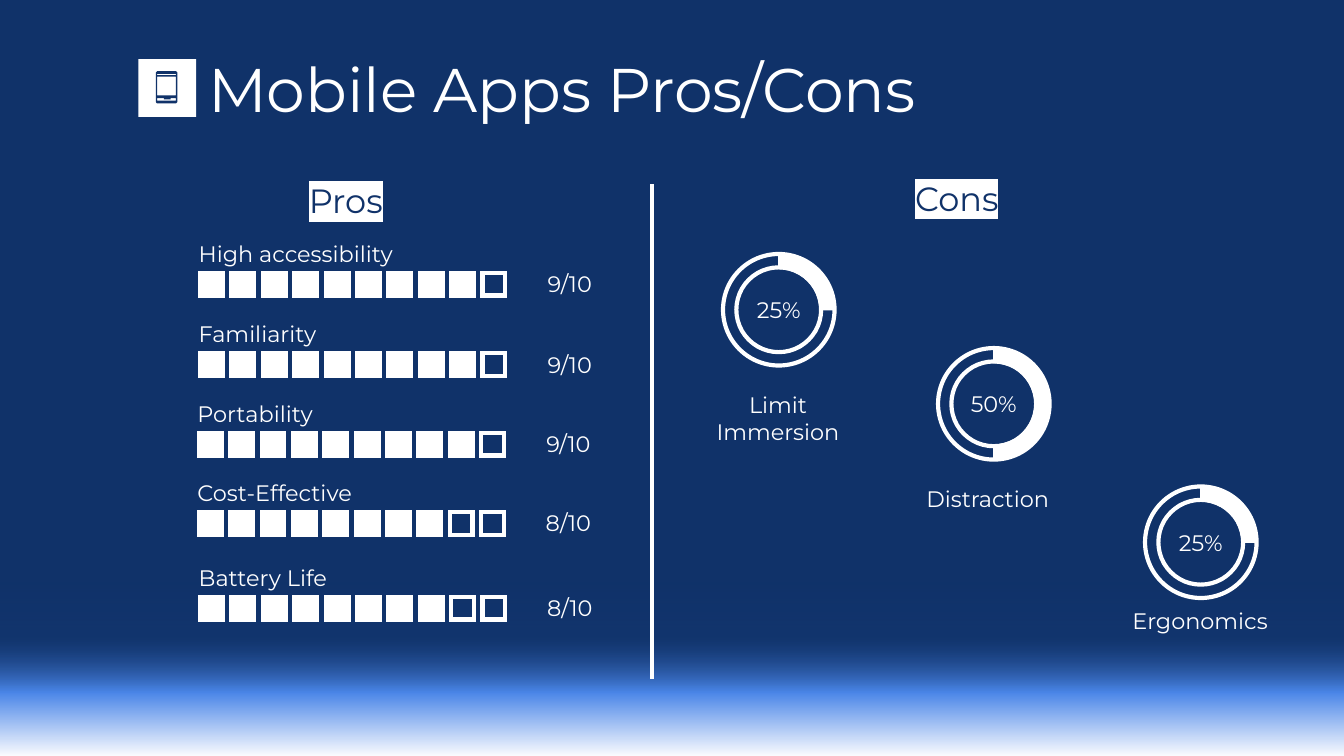
from dataclasses import dataclass
from typing import Optional

from lxml import etree
from pptx import Presentation
from pptx.dml import color
from pptx.enum import shapes, text
from pptx.oxml import ns
from pptx.util import Inches, Pt


@dataclass(frozen=True)
class Theme:
    navy: str = "103269"
    white: str = "FFFFFF"
    font: str = "Montserrat"
    title: float = 33
    heading: float = 18
    body: float = 12
    stroke: float = 2.25
    thin: float = 0.75


@dataclass(frozen=True)
class Box:
    x: float
    y: float
    w: float
    h: float

    def emu(self) -> list:
        return [Inches(v) for v in (self.x, self.y, self.w, self.h)]


@dataclass(frozen=True)
class Pro:
    name: str
    score: int
    x: float
    y: float


@dataclass(frozen=True)
class Con:
    name: str
    percent: int
    x: float
    y: float
    label_x: float
    label_y: float


@dataclass(frozen=True)
class GradientStop:
    position: int
    rgb: str
    alpha: int = 100


THEME = Theme()
TOP_SCORE = 10
SQUARE, SQUARE_PITCH = 0.17, 2.1 / 9
RING = 0.83

PROS = [
    Pro("High accessibility", 9, 1.49, 2.03),
    Pro("Familiarity", 9, 1.49, 2.63),
    Pro("Portability", 9, 1.48, 3.22),
    Pro("Cost-Effective", 8, 1.48, 3.81),
    Pro("Battery Life", 8, 1.49, 4.44),
]
CONS = [
    Con("Limit Immersion", 25, 5.38, 1.89, 5.16, 2.95),
    Con("Distraction", 50, 6.98, 2.59, 6.72, 3.55),
    Con("Ergonomics", 25, 8.52, 3.62, 8.3, 4.46),
]
GLOW = [
    GradientStop(0, "1C4587", 0),
    GradientStop(32, "1C4587", 15),
    GradientStop(63, "4A86E8"),
    GradientStop(100, "FFFFFF"),
]


def rgb(value: str) -> color.RGBColor:
    return color.RGBColor.from_string(value)


def paint(shape, fill: Optional[str] = None, line_width: float = 0) -> None:
    """Give a shape a plain fill and a sharp white outline, or none of either."""
    shape.shadow.inherit = False
    if fill:
        shape.fill.solid()
        shape.fill.fore_color.rgb = rgb(fill)
    else:
        shape.fill.background()
    if line_width:
        shape.line.color.rgb = rgb(THEME.white)
        shape.line.width = Pt(line_width)
        outline = shape._element.spPr.find(ns.qn("a:ln"))
        etree.SubElement(outline, ns.qn("a:miter"), lim="800000")
    else:
        shape.line.fill.background()


def add_preset(slide, kind, box: Box, fill: Optional[str] = None, line_width: float = 0):
    shape = slide.shapes.add_shape(kind, *box.emu())
    paint(shape, fill, line_width)
    return shape


def add_text(slide, words: str, box: Box, size: float = THEME.body,
             centred: bool = False, highlighted: bool = False) -> None:
    frame = slide.shapes.add_textbox(*box.emu()).text_frame
    frame.word_wrap = True
    frame.auto_size = text.MSO_AUTO_SIZE.NONE
    frame.vertical_anchor = text.MSO_ANCHOR.MIDDLE
    frame.margin_left = frame.margin_right = Inches(0.1)
    frame.margin_top = frame.margin_bottom = Inches(0.1)
    paragraph = frame.paragraphs[0]
    paragraph.alignment = text.PP_ALIGN.CENTER if centred else text.PP_ALIGN.LEFT
    run = paragraph.add_run()
    run.text = words
    run.font.size = Pt(size)
    run.font.name = THEME.font
    run.font.color.rgb = rgb(THEME.navy if highlighted else THEME.white)
    if highlighted:
        marker = etree.Element(ns.qn("a:highlight"))
        etree.SubElement(marker, ns.qn("a:srgbClr"), val=THEME.white)
        run.font._element.find(ns.qn("a:solidFill")).addnext(marker)


def add_glow(slide, box: Box) -> None:
    """Draw the band that fades from clear to white at the bottom."""
    band = add_preset(slide, shapes.MSO_SHAPE.RECTANGLE, box)
    band.fill.gradient()
    band.fill.gradient_angle = 270
    stops = band._element.spPr.find(ns.qn("a:gradFill")).find(ns.qn("a:gsLst"))
    for old in list(stops):
        stops.remove(old)
    for stop in GLOW:
        entry = etree.SubElement(stops, ns.qn("a:gs"), pos=str(stop.position * 1000))
        tint = etree.SubElement(entry, ns.qn("a:srgbClr"), val=stop.rgb)
        if stop.alpha < 100:
            etree.SubElement(tint, ns.qn("a:alpha"), val=str(stop.alpha * 1000))


def add_pro(slide, pro: Pro) -> None:
    for i in range(TOP_SCORE):
        add_preset(slide, shapes.MSO_SHAPE.RECTANGLE,
                   Box(pro.x + i * SQUARE_PITCH, pro.y, SQUARE, SQUARE),
                   THEME.white if i < pro.score else None, THEME.stroke)
    add_text(slide, pro.name, Box(pro.x - 0.11, pro.y - 0.26, 2.56, 0.23))
    add_text(slide, f"{pro.score}/{TOP_SCORE}",
             Box(pro.x + 2.43, pro.y - 0.06, 0.64, 0.28), centred=True)


def add_con(slide, con: Con) -> None:
    ring = Box(con.x, con.y, RING, RING)
    track = add_preset(slide, shapes.MSO_SHAPE.DONUT, ring, line_width=THEME.stroke)
    track.adjustments[0] = 0.12
    arc = add_preset(slide, shapes.MSO_SHAPE.BLOCK_ARC, ring, THEME.white, THEME.thin)
    end_angle = (270 + 3.6 * con.percent) % 360
    # Arc angles are stored in 60000ths of a degree, adjustments in 100000ths.
    arc.adjustments[0] = 270 * 0.6
    arc.adjustments[1] = end_angle * 0.6
    arc.adjustments[2] = 0.13
    add_text(slide, f"{con.percent}%", Box(con.x, con.y + 0.26, RING, 0.31), centred=True)
    add_text(slide, con.name, Box(con.label_x, con.label_y, 1.26, 0.32), centred=True)


def bevelled(box: Box, cut: float) -> list:
    """Corner points of a rectangle whose corners are cut off."""
    left, top, right, bottom = box.x, box.y, box.x + box.w, box.y + box.h
    points = [(left + cut, top), (right - cut, top), (right, top + cut),
              (right, bottom - cut), (right - cut, bottom), (left + cut, bottom),
              (left, bottom - cut), (left, top + cut)]
    return [(Inches(x), Inches(y)) for x, y in points]


def add_outline(slide, contours: list) -> None:
    """Draw a navy outline; contours after the first are holes."""
    first, *holes = contours
    builder = slide.shapes.build_freeform(*first[0])
    builder.add_line_segments(first[1:])
    for hole in holes:
        builder.move_to(*hole[-1])
        builder.add_line_segments(hole[-2::-1])
    paint(builder.convert_to_shape(), THEME.navy)


def add_phone(slide) -> None:
    add_preset(slide, shapes.MSO_SHAPE.RECTANGLE, Box(1.03, 0.44, 0.43, 0.43), THEME.white)
    speaker, screen, chin = (Box(1.17, y, 0.14, h)
                             for y, h in ((0.55, 0.01), (0.57, 0.14), (0.73, 0.02)))
    add_outline(slide, [bevelled(Box(1.16, 0.53, 0.16, 0.24), 0.01),
                        *(bevelled(opening, 0) for opening in (speaker, screen, chin))])
    add_outline(slide, [bevelled(Box(1.22, 0.73, 0.05, 0.01), 0)])


def add_divider(slide, x: float, top: float, bottom: float) -> None:
    divider = slide.shapes.add_connector(shapes.MSO_CONNECTOR.STRAIGHT, Inches(x),
                                         Inches(top), Inches(x), Inches(bottom))
    divider.line.color.rgb = rgb(THEME.white)
    divider.line.width = Pt(THEME.stroke)
    etree.SubElement(divider._element.spPr, ns.qn("a:effectLst"))


def main() -> None:
    deck = Presentation()
    deck.slide_width = Inches(10)
    deck.slide_height = deck.slide_width * 9 // 16
    slide = deck.slides.add_slide(deck.slide_layouts[6])
    slide.background.fill.solid()
    slide.background.fill.fore_color.rgb = rgb(THEME.navy)
    add_glow(slide, Box(0, 4.33, 10, 1.3))
    add_text(slide, "Mobile Apps Pros/Cons", Box(1.45, 0.21, 7.44, 0.89), THEME.title)
    add_phone(slide)
    add_text(slide, "Pros", Box(2.2, 1.2, 2.38, 0.58), THEME.heading, highlighted=True)
    add_text(slide, "Cons", Box(6.71, 1.18, 2.38, 0.58), THEME.heading, highlighted=True)
    add_divider(slide, 4.85, 1.37, 5.05)
    for pro in PROS:
        add_pro(slide, pro)
    for con in CONS:
        add_con(slide, con)
    deck.save("out.pptx")


if __name__ == "__main__":
    main()
